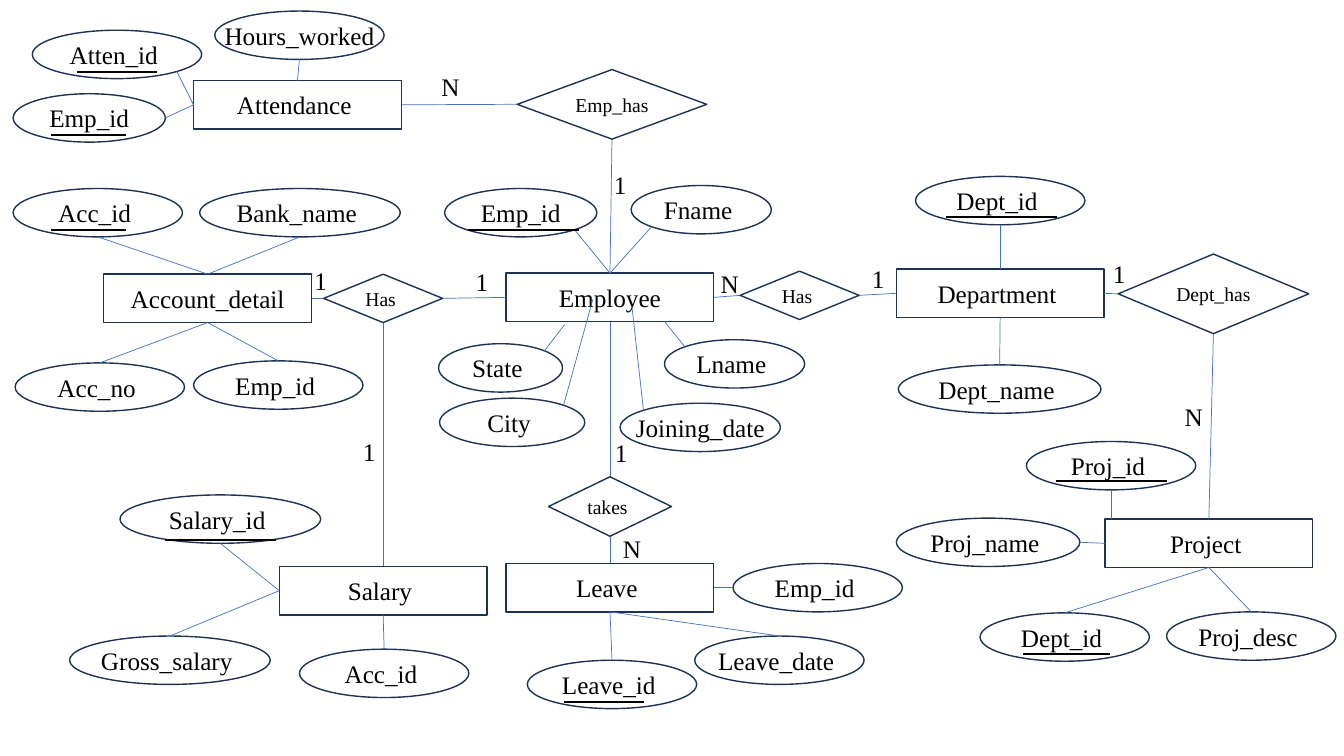
from dataclasses import dataclass
from enum import Enum

from lxml.etree import SubElement
from pptx import Presentation
from pptx.dml.color import RGBColor
from pptx.enum.shapes import MSO_CONNECTOR as Connector, MSO_SHAPE as Shape
from pptx.enum.text import MSO_ANCHOR as Anchor, MSO_AUTO_SIZE as AutoSize, PP_ALIGN as Align
from pptx.oxml.ns import qn
from pptx.util import Inches, Pt

WHITE = RGBColor(0xFF, 0xFF, 0xFF)
BLACK = RGBColor(0x00, 0x00, 0x00)
NAVY = RGBColor(0x1E, 0x32, 0x56)
BLUE = RGBColor(0x44, 0x72, 0xC4)

# Node names stay on one line inside their outline
NODE_FRAME = {"word_wrap": False, "vertical_anchor": Anchor.MIDDLE}
LABEL_FRAME = {"word_wrap": False, "auto_size": AutoSize.SHAPE_TO_FIT_TEXT}
LABEL_WIDTHS = {"1": 0.33, "N": 0.38}

Point = tuple[float, float]


class Side(Enum):
    """Attachment sites as fractions of a node's width and height."""
    TOP = (0.5, 0)
    LEFT = (0, 0.5)
    BOTTOM = (0.5, 1)
    RIGHT = (1, 0.5)
    UPPER_LEFT = (0.146, 0.146)
    UPPER_RIGHT = (0.854, 0.146)
    LOWER_LEFT = (0.146, 0.854)
    LOWER_RIGHT = (0.854, 0.854)


@dataclass(frozen=True)
class Node:
    text: str
    left: float
    top: float
    width: float = 1.68
    height: float = 0.48
    shape: Shape = Shape.OVAL
    size: int = 18

    def at(self, side: Side) -> Point:
        across, down = side.value
        return self.left + across * self.width, self.top + down * self.height


def entity(text: str, left: float, top: float) -> Node:
    return Node(text, left, top, 2.06, shape=Shape.RECTANGLE)


def relationship(text: str, left: float, top: float, width: float, height: float) -> Node:
    return Node(text, left, top, width, height, Shape.FLOWCHART_DECISION, 14)


# Entities
entities = [
    employee := entity("Employee", 5.02, 2.71),
    salary := entity("Salary ", 2.77, 5.62),
    department := entity("Department ", 8.89, 2.67),
    attendance := entity("Attendance ", 1.92, 0.8),
    project := entity("Project ", 10.96, 5.15),
    leave := entity("Leave ", 5.02, 5.59),
    account := entity("Account_detail", 1.03, 2.72),
]

# Relationships
relationships = [
    emp_has := relationship("Emp_has", 5.13, 0.69, 1.88, 0.69),
    dept_has := relationship("Dept_has", 11.09, 2.52, 1.89, 0.79),
    has_account := relationship("Has ", 3.21, 2.72, 1.18, 0.48),
    has_department := relationship("Has ", 7.34, 2.69, 1.18, 0.48),
    takes := relationship("takes ", 5.44, 4.73, 1.22, 0.59),
]

# Attributes
attributes = [
    city := Node("City ", 4.36, 3.95, 1.44),
    fname := Node("Fname ", 6.26, 1.84, 1.39),
    lname := Node("Lname ", 6.59, 3.37, 1.39),
    state := Node("State ", 4.35, 3.41, 1.23),
    joining_date := Node("Joining_date", 6.15, 4, 1.59),
    emp_id := Node("Emp_id", 4.41, 1.87, 1.51),
    dept_id := Node("Dept_id ", 9.08, 1.75),
    dept_name := Node("Dept_name ", 8.91, 3.62, 2.01),
    atten_id := Node("Atten_id ", 0.32, 0.3),
    hours_worked := Node("Hours_worked", 2.13, 0.11),
    atten_emp_id := Node("Emp_id", 0.13, 0.93, 1.51),
    leave_id := Node("Leave_id ", 5.23, 6.55),
    leave_emp_id := Node("Emp_id ", 7.27, 5.59),
    leave_date := Node("Leave_date ", 6.89, 6.31),
    proj_name := Node("Proj_name ", 8.89, 5.14, 1.82),
    proj_desc := Node("Proj_desc ", 11.57, 6.07),
    proj_id := Node("Proj_id ", 10.18, 4.38),
    proj_dept_id := Node("Dept_id ", 9.72, 6.08),
    acc_id := Node("Acc_id ", 0.13, 1.87),
    acc_no := Node("Acc_no ", 0.15, 3.6),
    acc_emp_id := Node("Emp_id ", 1.92, 3.58),
    bank_name := Node("Bank_name ", 1.98, 1.87, 1.99),
    salary_acc_id := Node("Acc_id ", 2.97, 6.44),
    gross_salary := Node("Gross_salary ", 0.69, 6.31, 1.99),
    salary_id := Node("Salary_id ", 1.19, 4.91, 1.99),
]

# Links that run from site to site
links = [
    (attendance, Side.RIGHT, emp_has, Side.LEFT),
    (emp_has, Side.BOTTOM, employee, Side.TOP),
    (salary, Side.TOP, has_account, Side.BOTTOM),
    (has_account, Side.RIGHT, employee, Side.LEFT),
    (account, Side.RIGHT, has_account, Side.LEFT),
    (leave, Side.TOP, employee, Side.BOTTOM),
    (employee, Side.RIGHT, has_department, Side.LEFT),
    (has_department, Side.RIGHT, department, Side.LEFT),
    (department, Side.RIGHT, dept_has, Side.LEFT),
    (dept_has, Side.BOTTOM, project, Side.TOP),
    (employee, Side.TOP, fname, Side.LOWER_LEFT),
    (employee, Side.TOP, emp_id, Side.LOWER_RIGHT),
    (department, Side.TOP, dept_id, Side.BOTTOM),
    (department, Side.BOTTOM, dept_name, Side.TOP),
    (atten_id, Side.LOWER_RIGHT, attendance, Side.LEFT),
    (hours_worked, Side.BOTTOM, attendance, Side.TOP),
    (attendance, Side.LEFT, atten_emp_id, Side.RIGHT),
    (leave_id, Side.TOP, leave, Side.BOTTOM),
    (leave_date, Side.TOP, leave, Side.BOTTOM),
    (leave, Side.RIGHT, leave_emp_id, Side.LEFT),
    (proj_name, Side.RIGHT, project, Side.LEFT),
    (project, Side.BOTTOM, proj_desc, Side.TOP),
    (project, Side.BOTTOM, proj_dept_id, Side.TOP),
    (account, Side.TOP, bank_name, Side.BOTTOM),
    (account, Side.TOP, acc_id, Side.BOTTOM),
    (acc_no, Side.TOP, account, Side.BOTTOM),
    (acc_emp_id, Side.TOP, account, Side.BOTTOM),
    (salary_id, Side.BOTTOM, salary, Side.LEFT),
    (salary, Side.LEFT, gross_salary, Side.TOP),
    (salary, Side.BOTTOM, salary_acc_id, Side.TOP),
]

# Links that start at a free point of the entity
free_links = [
    ((6.59, 3.19), lname, Side.UPPER_LEFT),
    ((5.88, 2.97), city, Side.UPPER_RIGHT),
    ((5.6, 3.22), state, Side.UPPER_RIGHT),
    ((6.27, 3.06), joining_date, Side.UPPER_LEFT),
    ((11.02, 5.15), proj_id, Side.BOTTOM),
]

# Key underlines: left, top, length
underlines = [
    (1.64, 5.36, 1.1), (4.64, 2.28, 1.1), (9.38, 2.15, 1.1), (10.47, 4.77, 1.1),
    (5.59, 6.96, 0.8), (0.76, 0.71, 0.8), (0.51, 2.28, 0.74), (0.51, 1.34, 0.74),
    (10.15, 6.49, 0.86),
]

# Cardinalities: text, left, top
cardinalities = [
    ("1", 5.99, 1.63), ("1", 3.5, 4.28), ("1", 4.62, 2.59), ("N", 4.28, 0.66),
    ("1", 10.94, 2.51), ("N", 11.65, 3.93), ("1", 6, 4.29), ("N", 6.08, 5.24),
    ("1", 3.02, 2.58), ("N", 7.05, 2.61), ("1", 8.55, 2.56),
]


def write(frame, text: str, size: int, align: Align, frame_format: dict) -> None:
    frame.text = text
    for name, value in frame_format.items():
        setattr(frame, name, value)
    paragraph = frame.paragraphs[0]
    paragraph.alignment = align
    font = paragraph.runs[0].font
    for name, value in {"name": "Times New Roman", "size": Pt(size)}.items():
        setattr(font, name, value)
    font.color.rgb = BLACK


def draw_node(slide, node: Node) -> None:
    box = slide.shapes.add_shape(
        node.shape, *map(Inches, (node.left, node.top, node.width, node.height)))
    box.shadow.inherit = False
    box.fill.solid()
    box.fill.fore_color.rgb = WHITE
    box.line.color.rgb = NAVY
    box.line.width = Pt(1)
    write(box.text_frame, node.text, node.size, Align.CENTER, NODE_FRAME)


def draw_line(slide, start: Point, end: Point, color: RGBColor = BLUE, width: float = 0.5) -> None:
    line = slide.shapes.add_connector(Connector.STRAIGHT, *map(Inches, (*start, *end)))
    line.line.color.rgb = color
    line.line.width = Pt(width)
    SubElement(line._element.spPr, qn("a:effectLst"))


def draw_cardinality(slide, text: str, left: float, top: float) -> None:
    label = slide.shapes.add_textbox(*map(Inches, (left, top, LABEL_WIDTHS[text], 0.4)))
    write(label.text_frame, text, 18, Align.LEFT, LABEL_FRAME)


def main() -> None:
    deck = Presentation()
    deck.slide_width, deck.slide_height = Inches(13.33), Inches(7.5)
    slide = deck.slides.add_slide(deck.slide_layouts[6])
    for node in entities + attributes:
        draw_node(slide, node)
    for first, first_side, second, second_side in links:
        draw_line(slide, first.at(first_side), second.at(second_side))
    for start, node, side in free_links:
        draw_line(slide, start, node.at(side))
    for left, top, length in underlines:
        draw_line(slide, (left, top), (left + length, top), BLACK, 1.5)
    for node in relationships:
        draw_node(slide, node)
    for text, left, top in cardinalities:
        draw_cardinality(slide, text, left, top)
    deck.save("out.pptx")


if __name__ == "__main__":
    main()
